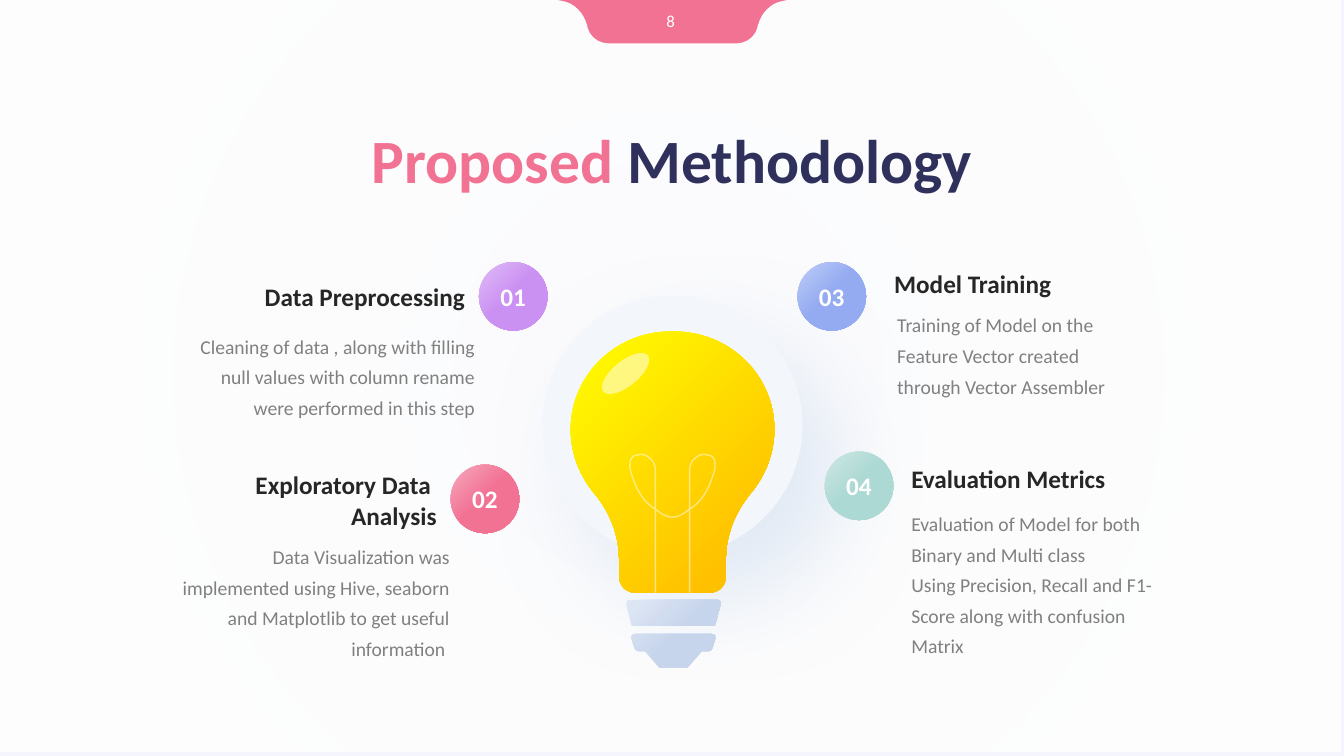
from lxml import etree
from pptx import Presentation, util as u
from pptx.dml.color import RGBColor
from pptx.enum import shapes, text
from pptx.oxml.ns import qn

# ---------- content ----------
PX = 9144  # EMU per px, 100 px to the inch
SIZE = (1333, 750)
FONT = "Calibri"
COLORS = {
    "background": "F4F5FD", "white": "FFFFFF", "pink": "F27294", "navy": "2F305B",
    "heading": "262626", "body": "808080", "halo": "F3F6FB", "shadow": "DDE7F4",
    "amber": "FFC000", "yellow": "FFFF00", "metal": "C7D5EC", "metal light": "E0E8F5",
    "purple": "CB91F2", "purple light": "E0BDF7", "pink light": "F7AABF",
    "blue": "94ABF2", "blue light": "BFCDF7", "teal": "ADD9D4", "teal light": "CEE8E5",
}
PAGE_NUMBER = "8"
TITLE = [("Proposed ", "pink"), ("Methodology", "navy")]

# number, colour, badge corner, alignment, heading box and lines, body box and paragraphs
STEPS = [
    ("01", "purple", (475, 260), "right",
     (206, 274, 265, 40), ["Data Preprocessing"],
     (166, 320, 315, 102),
     ["Cleaning of data , along with filling null values with column rename "
      "were performed in this step"]),
    ("03", "blue", (791, 260), "left",
     (877, 261, 265, 40), ["Model Training"],
     (880, 299, 252, 102),
     ["Training of Model on the Feature Vector created through Vector Assembler"]),
    ("02", "pink", (447, 461), "right",
     (106, 461, 337, 71), ["Exploratory Data ", "Analysis"],
     (168, 529, 288, 133),
     ["Data Visualization was implemented using Hive, seaborn and Matplotlib "
      "to get useful information "]),
    ("04", "teal", (818, 448), "left",
     (894, 455, 265, 40), ["Evaluation Metrics"],
     (894, 496, 286, 163),
     ["Evaluation of Model for both Binary and Multi class",
      "Using Precision, Recall and F1-Score along with confusion Matrix"]),
]

# Left halves of outlines: a start point, then lines (2 numbers) or curves (6)
BULB = [(667, 329), (611, 328, 566, 372, 566, 426), (566, 450, 575, 472, 589, 489),
        (605, 508, 614, 531, 614, 555), (614, 572),
        (614, 581, 621, 588, 630, 588)]
CAP = [(624, 595), (622, 595, 621, 597, 621, 599), (626, 618),
       (626, 620, 627, 621, 629, 621)]
TIP = [(630, 629), (628, 629, 626, 630, 626, 632), (629, 642),
       (629, 644, 631, 646, 633, 646), (640, 646), (654, 662)]
FILAMENT = [(650, 588), (650, 466), (650, 462, 648, 457, 645, 455),
            (642, 452, 638, 450, 634, 451), (631, 451, 628, 452, 626, 455),
            (624, 459, 624, 465, 628, 475), (633, 490, 641, 500, 650, 505),
            (657, 511, 662, 513, 667, 513)]
WING = [(582, 0), (553, 0), (558, 1), (570, 3, 579, 13, 582, 24)]

ALIGN = {"left": text.PP_ALIGN.LEFT, "right": text.PP_ALIGN.RIGHT,
         "center": text.PP_ALIGN.CENTER}

presentation = Presentation()
presentation.slide_width, presentation.slide_height = [side * PX for side in SIZE]
slide = presentation.slides.add_slide(presentation.slide_layouts[6])


# ---------- fills and effects ----------
def rgb(name):
    return RGBColor.from_string(COLORS[name])


def add_color(parent, name, alpha=100):
    color = etree.SubElement(parent, qn("a:srgbClr"), val=COLORS[name])
    if alpha < 100:
        etree.SubElement(color, qn("a:alpha"), val=str(alpha * 1000))


def paint(shape, name, alpha=100):
    shape.shadow.inherit = False
    shape.line.fill.background()
    shape.fill.solid()
    solid = shape._element.spPr.find(qn("a:solidFill"))
    for child in list(solid):
        solid.remove(child)
    add_color(solid, name, alpha)


def paint_radial(shape, stops, focus):
    paint(shape, "white")
    solid = shape._element.spPr.find(qn("a:solidFill"))
    gradient = etree.Element(qn("a:gradFill"), rotWithShape="1")
    stop_list = etree.SubElement(gradient, qn("a:gsLst"))
    for position, *color in stops:
        stop = etree.SubElement(stop_list, qn("a:gs"), pos=str(position * 1000))
        add_color(stop, *color)
    circle = etree.SubElement(gradient, qn("a:path"))
    circle.set("path", "circle")
    sides = {side: str(share * 1000) for side, share in zip("ltrb", focus)}
    etree.SubElement(circle, qn("a:fillToRect"), **sides)
    solid.getparent().replace(solid, gradient)


def paint_corner(shape, position, dark, light):
    paint_radial(shape, [(position, dark), (100, light)], (100, 100, 0, 0))


def cast_shadow(shape, name, alpha, blur, distance, degrees):
    effects = shape._element.spPr.find(qn("a:effectLst"))
    outer = etree.SubElement(effects, qn("a:outerShdw"), blurRad=str(u.Pt(blur)),
                             dist=str(u.Pt(distance)), dir=str(degrees * 60000),
                             algn="ctr", rotWithShape="0")
    add_color(outer, name, alpha)


# ---------- shapes and text ----------
def add_preset(kind, *box):
    return slide.shapes.add_shape(kind, *[length * PX for length in box])


def half(outline):
    """All points in order, and how many of them each segment takes."""
    points = [segment[i:i + 2] for segment in outline for i in range(0, len(segment), 2)]
    return points, [len(segment) // 2 for segment in outline[1:]]


def mirror(points, counts, axis_sum=1334):
    return [(axis_sum - x, y) for x, y in reversed(points)], counts[::-1]


def whole(outline, axis_sum=1334):
    points, counts = half(outline)
    far_points, far_counts = mirror(points, counts, axis_sum)
    if points[-1] == far_points[0]:
        return points + far_points[1:], counts + far_counts
    return points + far_points, counts + [1] + far_counts


def add_outline(*contours, close=True):
    first_points = contours[0][0]
    builder = slide.shapes.build_freeform(*[n * PX for n in first_points[0]])
    for index, (points, _) in enumerate(contours):
        scaled = [(x * PX, y * PX) for x, y in points]
        if index:
            builder.move_to(*scaled[0])
        builder.add_line_segments(scaled[1:], close=close)
    shape = builder.convert_to_shape()
    # Merge three line points into one Bezier segment wherever a curve runs
    lines = iter(list(shape._element.spPr.iter(qn("a:lnTo"))))
    for _, counts in contours:
        for count in counts:
            segment = [next(lines) for _ in range(count)]
            if count == 3:
                curve = etree.Element(qn("a:cubicBezTo"))
                segment[0].addprevious(curve)
                for line in segment:
                    curve.append(line[0])
                    line.getparent().remove(line)
    return shape


def add_text(box, paragraphs, size, align, bold=False, spacing=None):
    frame = slide.shapes.add_textbox(*[length * PX for length in box]).text_frame
    frame.word_wrap = True
    frame.auto_size = text.MSO_AUTO_SIZE.SHAPE_TO_FIT_TEXT
    for index, runs in enumerate(paragraphs):
        paragraph = frame.add_paragraph() if index else frame.paragraphs[0]
        paragraph.alignment = ALIGN[align]
        if spacing:
            paragraph.line_spacing = spacing
        for words, color in runs:
            run = paragraph.add_run()
            run.text = words
            run.font.name, run.font.size, run.font.bold = FONT, u.Pt(size), bold
            run.font.color.rgb = rgb(color)


# ---------- background ----------
slide.background.fill.solid()
slide.background.fill.fore_color.rgb = rgb("background")
backdrop = add_preset(shapes.MSO_SHAPE.RECTANGLE, -3, -4, *SIZE)
paint_radial(backdrop, [(0, "white", 70), (100, "white")], (50, 50, 50, 50))

# ---------- page tab ----------
tab = add_preset(shapes.MSO_SHAPE.ROUND_2_SAME_RECTANGLE, 582, 0, 170, 43)
tab.adjustments[0], tab.adjustments[1] = 0, 0.5
paint(tab, "pink")
wing = half(WING)
for side in (wing, mirror(*wing)):
    paint(add_outline(side), "pink")
add_text((651, 6, 28, 30), [[(PAGE_NUMBER, "white")]], 12, "right")

# ---------- light bulb ----------
halo = add_preset(shapes.MSO_SHAPE.OVAL, 538, 293, 258, 258)
paint(halo, "halo")
cast_shadow(halo, "shadow", 85, 65, 40, 50)
paint_corner(add_outline(whole(BULB)), 15, "amber", "yellow")
paint_corner(add_outline(whole(TIP, 1336), whole(CAP, 1336)), 45, "metal", "metal light")

filament = add_outline(whole(FILAMENT), close=False)
filament.shadow.inherit = False
filament.fill.background()
filament.line.width = u.Pt(1)
filament.line.color.rgb = rgb("white")
etree.SubElement(filament.line._ln.find(".//" + qn("a:srgbClr")), qn("a:alpha"), val="50000")

glint = add_preset(shapes.MSO_SHAPE.OVAL, 592, 358, 57, 25)
glint.rotation = -39
paint(glint, "white", 50)

# ---------- title and steps ----------
add_text((179, 124, 975, 77), [TITLE], 44, "center", True, 0.9)
for number, color, (left, top), align, head_box, head, body_box, body in STEPS:
    badge = add_preset(shapes.MSO_SHAPE.OVAL, left, top, 68, 68)
    paint_corner(badge, 52, color, color + " light")
    add_text((left + 4, top + 14, 60, 40), [[(number, "white")]], 18, "center", True)
    add_text(head_box, [[(line, "heading")] for line in head], 18, align, True)
    add_text(body_box, [[(line, "body")] for line in body], 14, align, spacing=1.3)

presentation.save("out.pptx")
